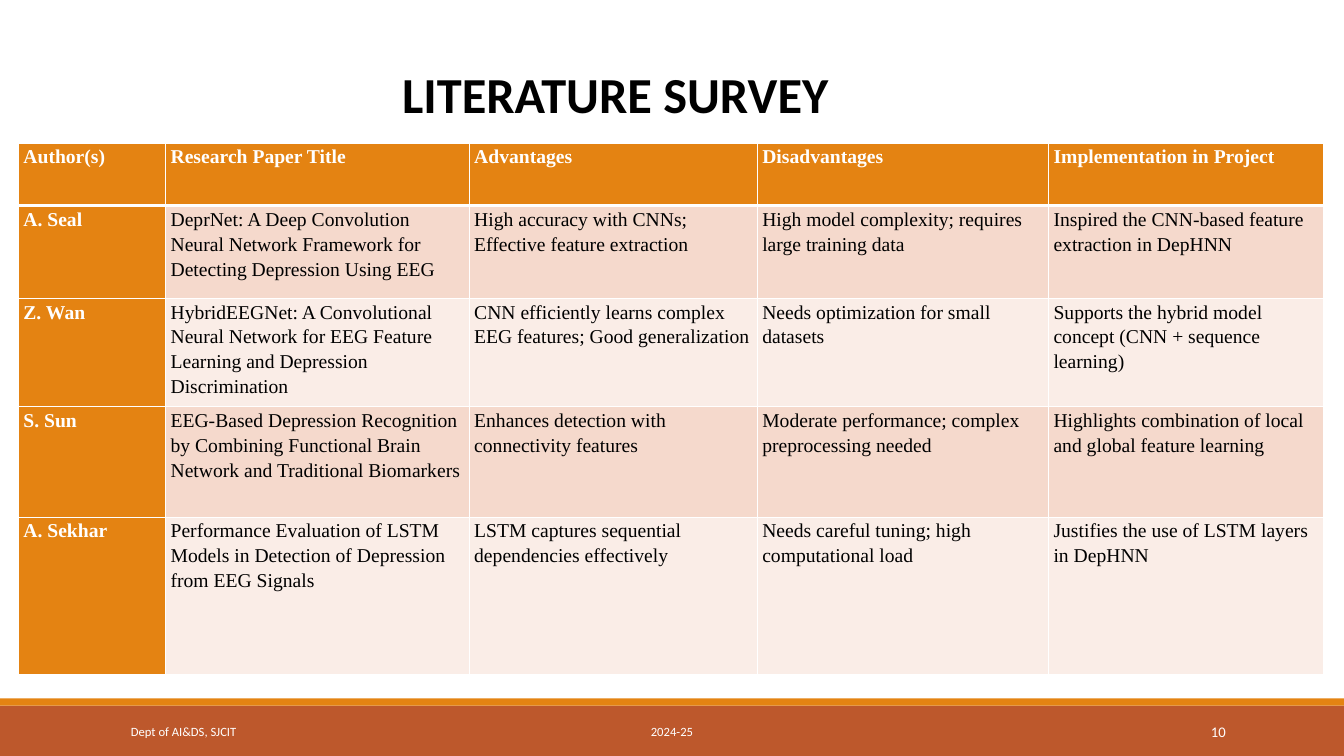
"""Build the literature survey slide."""
from dataclasses import dataclass

from lxml.etree import SubElement
from pptx import Presentation
from pptx.dml.color import RGBColor
from pptx.enum.shapes import MSO_SHAPE
from pptx.enum.text import MSO_ANCHOR, MSO_AUTO_SIZE, PP_ALIGN
from pptx.oxml.ns import qn
from pptx.util import Cm, Pt

WIDTH, HEIGHT = 33.87, 19.05
COLUMN_WIDTHS = (3.71, 7.65, 7.26, 7.34, 6.93)
ROW_HEIGHTS = (1.57, 2.34, 2.44, 2.79, 3.96)
SURVEY = (
    ("Author(s)", "Research Paper Title", "Advantages", "Disadvantages",
     "Implementation in Project"),
    ("A. Seal",
     "DeprNet: A Deep Convolution Neural Network Framework for Detecting Depression Using EEG",
     "High accuracy with CNNs; Effective feature extraction",
     "High model complexity; requires large training data",
     "Inspired the CNN-based feature extraction in DepHNN"),
    ("Z. Wan",
     "HybridEEGNet: A Convolutional Neural Network for EEG Feature Learning "
     "and Depression Discrimination",
     "CNN efficiently learns complex EEG features; Good generalization",
     "Needs optimization for small datasets",
     "Supports the hybrid model concept (CNN + sequence learning)"),
    ("S. Sun",
     "EEG-Based Depression Recognition by Combining Functional Brain Network "
     "and Traditional Biomarkers",
     "Enhances detection with connectivity features",
     "Moderate performance; complex preprocessing needed",
     "Highlights combination of local and global feature learning"),
    ("A. Sekhar",
     "Performance Evaluation of LSTM Models in Detection of Depression from EEG Signals",
     "LSTM captures sequential dependencies effectively",
     "Needs careful tuning; high computational load",
     "Justifies the use of LSTM layers in DepHNN"),
)


@dataclass(frozen=True)
class Theme:
    """Colours, fonts and type sizes of the slide."""
    accent: str = "E48312"
    band: str = "BD582C"
    row_dark: str = "F5D9CC"
    row_light: str = "FAEDE7"
    white: str = "FFFFFF"
    black: str = "000000"
    sans: str = "Calibri"
    serif: str = "Times New Roman"
    title: float = 36
    body: float = 14
    footer: float = 9
    number: float = 10.5


class SlideBuilder:
    """Draw themed elements on one slide."""

    def __init__(self, slide, theme):
        self.slide = slide
        self.theme = theme

    def style(self, paragraph, name, size, color, bold=False):
        """Set the font of a paragraph."""
        font = paragraph.font
        font.name, font.size, font.bold = name, Pt(size), bold
        font.color.rgb = RGBColor.from_string(color)

    def title(self, text, *box):
        """Place and format the title placeholder."""
        heading = self.slide.shapes.title
        heading.left, heading.top, heading.width, heading.height = map(Cm, box)
        frame = heading.text_frame
        frame.text = text
        frame.word_wrap = True
        frame.auto_size = MSO_AUTO_SIZE.NONE
        frame.vertical_anchor = MSO_ANCHOR.TOP
        paragraph = frame.paragraphs[0]
        paragraph.alignment = PP_ALIGN.CENTER
        self.style(paragraph, self.theme.sans, self.theme.title, self.theme.black, True)

    def bar(self, color, top, height):
        """Draw a full-width bar."""
        bar = self.slide.shapes.add_shape(
            MSO_SHAPE.RECTANGLE, 0, Cm(top), Cm(WIDTH), Cm(height))
        bar.shadow.inherit = False
        bar.fill.solid()
        bar.fill.fore_color.rgb = RGBColor.from_string(color)
        bar.line.fill.background()

    def footer(self, text, left, width, align, size):
        """Write one footer entry."""
        entry = self.slide.shapes.add_textbox(Cm(left), Cm(17.93), Cm(width), Cm(1.02))
        frame = entry.text_frame
        frame.word_wrap = True
        frame.vertical_anchor = MSO_ANCHOR.MIDDLE
        frame.text = text
        paragraph = frame.paragraphs[0]
        paragraph.alignment = align
        self.style(paragraph, self.theme.sans, size, self.theme.white)

    def cell(self, cell, text, fill, color, bold, borders):
        """Fill, border and write one table cell."""
        properties = cell._tc.get_or_add_tcPr()
        for side, points in borders.items():
            line = SubElement(properties, qn(f"a:{side}"), w=str(Pt(points)))
            solid = SubElement(line, qn("a:solidFill"))
            SubElement(solid, qn("a:srgbClr"), val=self.theme.white)
        cell.fill.solid()
        cell.fill.fore_color.rgb = RGBColor.from_string(fill)
        cell.margin_left = cell.margin_right = Cm(0.12)
        cell.margin_top = cell.margin_bottom = 0
        cell.text = text
        paragraph = cell.text_frame.paragraphs[0]
        paragraph.line_spacing = 1.15
        paragraph.space_after = Pt(10)
        self.style(paragraph, self.theme.serif, self.theme.body, color, bold)

    def table(self, rows, left, top):
        """Draw a table with a header row, a header column and banded rows."""
        theme = self.theme
        table = self.slide.shapes.add_table(
            len(rows), len(COLUMN_WIDTHS), Cm(left), Cm(top),
            Cm(sum(COLUMN_WIDTHS)), Cm(sum(ROW_HEIGHTS))).table
        table.first_col = True
        for column, width in zip(table.columns, COLUMN_WIDTHS):
            column.width = Cm(width)
        for row, height in zip(table.rows, ROW_HEIGHTS):
            row.height = Cm(height)
        for r, texts in enumerate(rows):
            borders = {"lnL": 1, "lnR": 1,
                       "lnT": 3 if r == 1 else 1, "lnB": 3 if r == 0 else 1}
            banding = theme.row_dark if r % 2 else theme.row_light
            for c, text in enumerate(texts):
                header = r == 0 or c == 0
                self.cell(table.cell(r, c), text,
                          theme.accent if header else banding,
                          theme.white if header else theme.black, header, borders)


def main():
    """Build and save the presentation."""
    deck = Presentation()
    deck.slide_width, deck.slide_height = Cm(WIDTH), Cm(HEIGHT)
    theme = Theme()
    builder = SlideBuilder(deck.slides.add_slide(deck.slide_layouts[5]), theme)
    builder.bar(theme.band, 17.78, 1.27)
    builder.bar(theme.accent, 17.6, 0.18)
    builder.footer("Dept of AI&DS, SJCIT", 3.05, 6.86, PP_ALIGN.LEFT, theme.footer)
    builder.footer("2024-25", 10.24, 13.39, PP_ALIGN.CENTER, theme.footer)
    builder.footer("10", 27.51, 3.63, PP_ALIGN.RIGHT, theme.number)
    builder.title("LITERATURE SURVEY", 7.04, 1.47, 16.94, 1.8)
    builder.table(SURVEY, 0.47, 3.61)
    deck.save("out.pptx")


if __name__ == "__main__":
    main()
